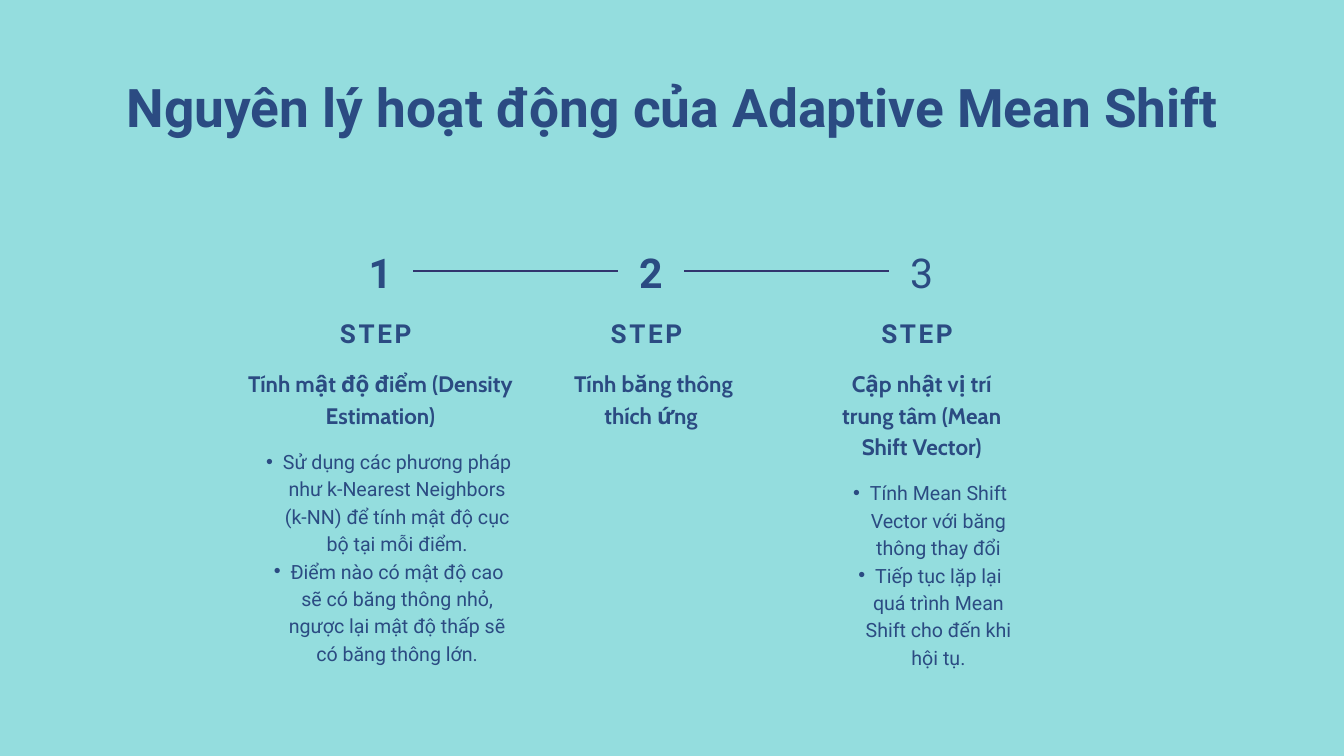
import pptx
import pptx.util
import pptx.dml.color
import pptx.enum.shapes
import pptx.enum.text
import pptx.oxml.ns
from lxml import etree

Pt = pptx.util.Pt
ANCHOR = pptx.enum.text.MSO_ANCHOR
BACKGROUND, INK, LINE = "94DDDE", "2B4B82", "31356E"
FIRST_CENTER, PITCH = 407.5, 290
NUMBER_SIZE = 71

# number is bold, column width, heading, lines in heading, bullets
STEPS = [
    (True, 284, "Tính mật độ điểm (Density Estimation)", 2,
     ["Sử dụng các phương pháp như k-Nearest Neighbors (k-NN) để tính mật độ cục bộ tại mỗi điểm.",
      "Điểm nào có mật độ cao sẽ có băng thông nhỏ, ngược lại mật độ thấp sẽ có băng thông lớn."]),
    (True, 189.5, " Tính băng thông thích ứng", 2, []),
    (False, 193.5, "Cập nhật vị trí trung tâm (Mean Shift Vector)", 3,
     ["Tính Mean Shift Vector với băng thông thay đổi",
      "Tiếp tục lặp lại quá trình Mean Shift cho đến khi hội tụ."]),
]


def color(value):
    return pptx.dml.color.RGBColor.from_string(value)


def add_child(parent, tag, **attributes):
    return etree.SubElement(parent, pptx.oxml.ns.qn(tag), **attributes)


def write(shape, texts, size, leading, font="Roboto", bold=True, spacing=0,
          bullet=False, anchor=ANCHOR.TOP):
    """Fill a shape with centred paragraphs of one style."""
    tf = shape.text_frame
    tf.word_wrap = True
    tf.auto_size = pptx.enum.text.MSO_AUTO_SIZE.NONE
    tf.vertical_anchor = anchor
    tf.margin_left = tf.margin_top = tf.margin_right = tf.margin_bottom = 0
    for i, text in enumerate(texts):
        p = tf.paragraphs[0] if i == 0 else tf.add_paragraph()
        r = p.add_run()
        r.text = text
        p.alignment = pptx.enum.text.PP_ALIGN.CENTER
        p.line_spacing = Pt(leading)
        p.space_before = Pt(0)
        if bullet:
            pPr = p._p.get_or_add_pPr()
            pPr.set("marL", str(Pt(36)))
            pPr.set("indent", str(Pt(-18)))
            add_child(pPr, "a:buFont", typeface="Arial")
            add_child(pPr, "a:buChar", char="•")
        if spacing:
            r._r.get_or_add_rPr().set("spc", str(round(spacing * 100)))
        p.font.size = Pt(size)
        p.font.name = font
        p.font.bold = bold
        p.font.color.rgb = color(INK)


def add_text(s, x, y, w, h, texts, size, leading, **style):
    write(s.shapes.add_textbox(Pt(x), Pt(y), Pt(w), Pt(h)), texts, size, leading, **style)


def add_title(s, x, y, w, h):
    title = s.shapes.title
    title.left, title.top, title.width, title.height = Pt(x), Pt(y), Pt(w), Pt(h)
    write(title, ["Nguyên lý hoạt động của Adaptive Mean Shift"], 57, 59.9)


def add_number(s, number, center, y, bold):
    sp = s.shapes.add_shape(pptx.enum.shapes.MSO_SHAPE.RECTANGLE,
                            Pt(center - NUMBER_SIZE / 2), Pt(y), Pt(NUMBER_SIZE), Pt(70))
    sp.shadow.inherit = False
    sp.fill.solid()
    sp.fill.fore_color.rgb = color(BACKGROUND)
    sp.line.fill.background()
    write(sp, [str(number)], 44, 61.6, bold=bold, spacing=7.5, anchor=ANCHOR.MIDDLE)
    sp.text_frame.margin_bottom = Pt(6.5)
    return sp


def add_link(s, start, end):
    line = s.shapes.add_connector(pptx.enum.shapes.MSO_CONNECTOR.STRAIGHT, 0, 0, 0, 0)
    line.begin_connect(start, 3)
    line.end_connect(end, 1)
    line.line.color.rgb = color(LINE)
    line.line.width = Pt(2.25)
    add_child(line._element.spPr, "a:effectLst")


def add_step(s, x, y, w, heading, lines, bullets):
    add_text(s, x, y, w, 37, ["STEP "], 28, 39.2, spacing=2.8)
    heading_top, heading_height = y + 58, 33.6 * lines
    add_text(s, x, heading_top, w, heading_height, [heading], 24, 33.6, font="Cabin")
    if bullets:
        add_text(s, x, heading_top + heading_height + 18.5, w, 29.4 * (lines + 5),
                 bullets, 21, 29.4, bold=False, bullet=True)


def main():
    prs = pptx.Presentation()
    prs.slide_width, prs.slide_height = Pt(1440), Pt(810)
    s = prs.slides.add_slide(prs.slide_layouts[5])
    s.background.fill.solid()
    s.background.fill.fore_color.rgb = color(BACKGROUND)

    add_title(s, 85, 88, 1271, 61)

    # Steps, each joined to the one before
    previous = None
    for i, (bold, width, heading, lines, bullets) in enumerate(STEPS):
        center = FIRST_CENTER + i * PITCH
        number = add_number(s, i + 1, center, 255.5, bold)
        if previous is not None:
            add_link(s, previous, number)
        previous = number
        add_step(s, center - width / 2, 334, width, heading, lines, bullets)

    prs.save("out.pptx")


if __name__ == "__main__":
    main()
